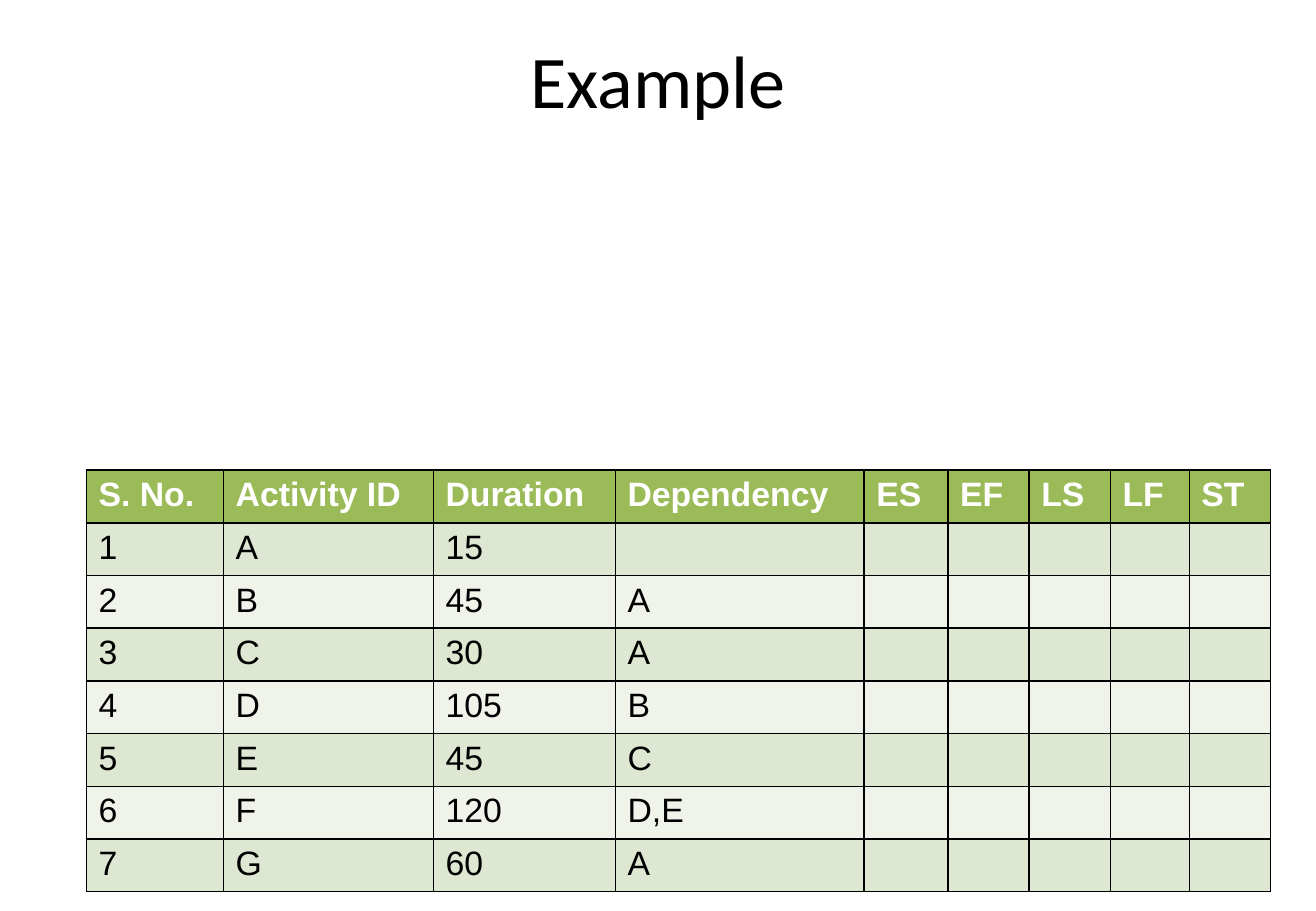
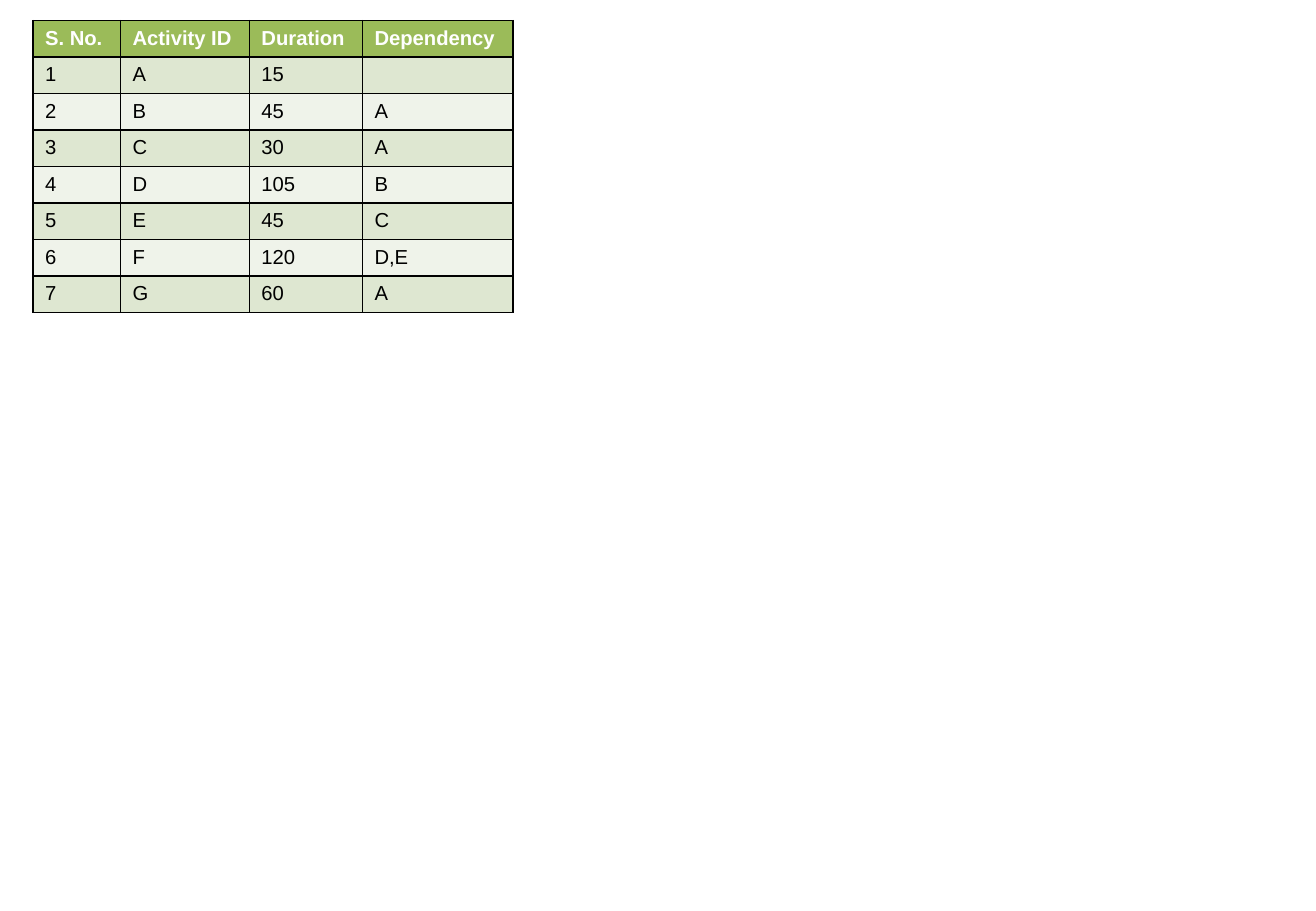
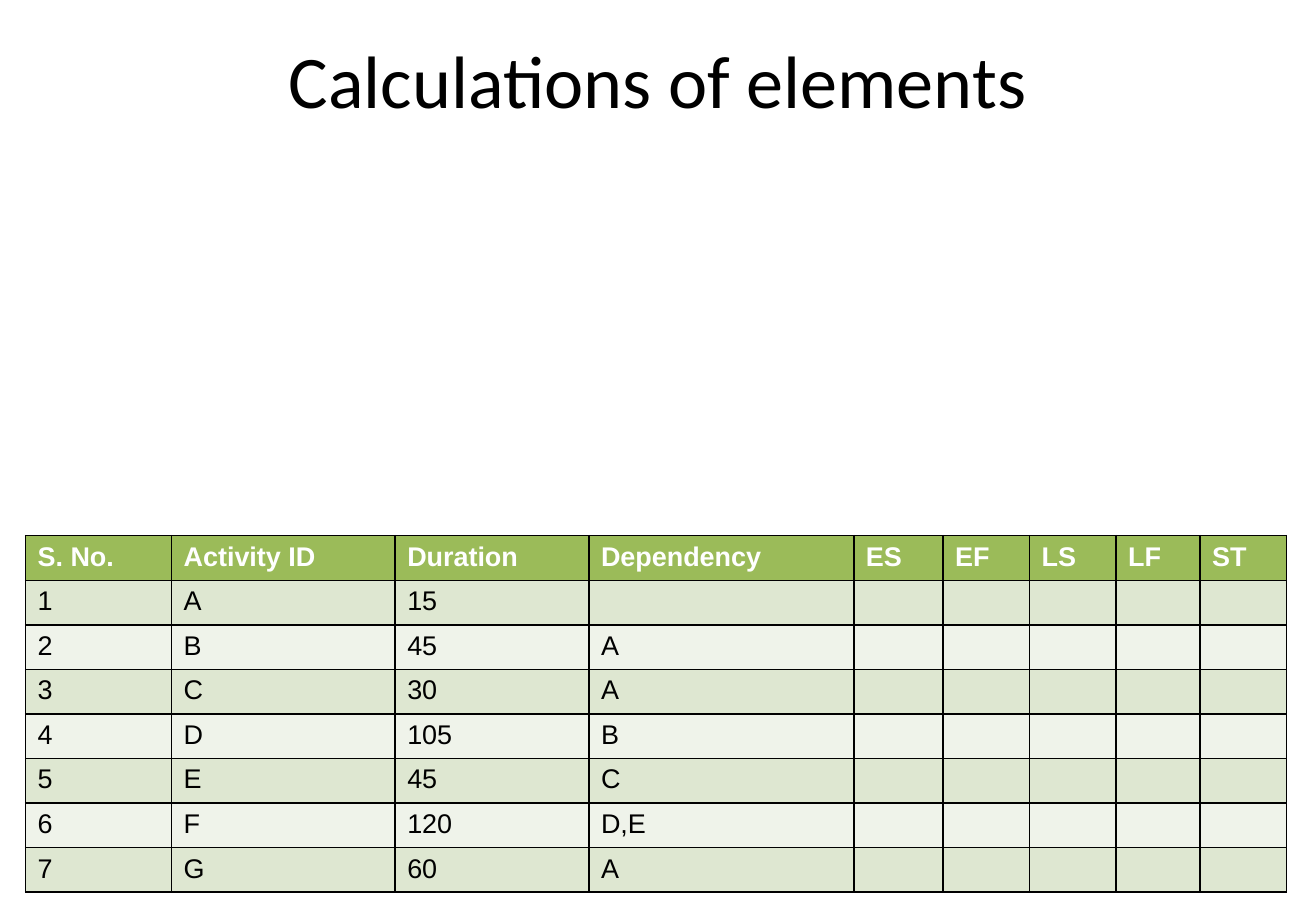
"""Build three slides that work through an activity schedule with tables."""
from lxml.etree import SubElement
from pptx import Presentation
from pptx.dml.color import RGBColor
from pptx.enum.text import MSO_ANCHOR, PP_ALIGN
from pptx.oxml import parse_xml
from pptx.oxml.ns import nsdecls, qn
from pptx.util import Inches, Pt

COLOURS = {
    "text": "000000",
    "border": "000000",
    "header_text": "FFFFFF",
    "header": "9BBB59",
    "odd_row": "DEE7D1",
    "even_row": "EFF3EA",
}
TITLE_FONT, TABLE_FONT = "Calibri", "Arial"

HEADINGS = ["S. No.", "Activity ID", "Duration", "Dependency", "ES", "EF", "LS", "LF", "ST"]
ACTIVITIES = [
    ("A", 15, ""),
    ("B", 45, "A"),
    ("C", 30, "A"),
    ("D", 105, "B"),
    ("E", 45, "C"),
    ("F", 120, "D,E"),
    ("G", 60, "A"),
]
FULL_COLUMNS = [113, 173, 150, 205, 69, 67, 67, 65, 67]
SHORT_COLUMNS = [72, 106, 93, 124]

SLIDES = [
    {"title": "Example", "columns": FULL_COLUMNS, "size": 20,
     "left": 6.56, "top": 51.6, "width": 90, "row": 5.47},
    {"title": "", "columns": SHORT_COLUMNS, "size": 12,
     "left": 2.5, "top": 2.27, "width": 36.5, "row": 3.83},
    {"title": "Calculations of elements", "columns": FULL_COLUMNS, "size": 16,
     "left": 1.94, "top": 58.8, "width": 95.84, "row": 4.63},
]

deck = Presentation()
deck.slide_width, deck.slide_height = Inches(10.83), Inches(7.5)
blank = deck.slide_layouts[6]


def across(percent):
    return round(deck.slide_width * percent / 100)


def down(percent):
    return round(deck.slide_height * percent / 100)


for content in SLIDES:
    slide = deck.slides.add_slide(blank)

    if content["title"]:
        title = slide.shapes.add_textbox(across(5), down(4), across(90), down(9.2)).text_frame
        title.word_wrap = True
        title.vertical_anchor = MSO_ANCHOR.MIDDLE
        title.text = content["title"]
        heading = title.paragraphs[0]
        heading.alignment = PP_ALIGN.CENTER
        font = heading.runs[0].font
        font.name, font.size = TITLE_FONT, Pt(44)
        font.color.rgb = RGBColor.from_string(COLOURS["text"])

    columns = content["columns"]
    rows = [HEADINGS]
    for number, activity in enumerate(ACTIVITIES, 1):
        rows.append([number, *activity] + [""] * 5)

    schedule = slide.shapes.add_table(
        len(rows), len(columns), across(content["left"]), down(content["top"]),
        across(content["width"]), down(content["row"] * len(rows))).table
    for column, share in zip(schedule.columns, columns):
        column.width = across(content["width"] * share / sum(columns))

    for r, values in enumerate(rows):
        schedule.rows[r].height = down(content["row"])
        band = "header" if r == 0 else "odd_row" if r % 2 else "even_row"
        for c, value in enumerate(values[:len(columns)]):
            cell = schedule.cell(r, c)
            properties = cell._tc.get_or_add_tcPr()
            for side in "LRTB":
                properties.append(parse_xml(
                    f'<a:ln{side} {nsdecls("a")} w="{Pt(1)}"><a:solidFill>'
                    f'<a:srgbClr val="{COLOURS["border"]}"/></a:solidFill></a:ln{side}>'))
            cell.fill.solid()
            cell.fill.fore_color.rgb = RGBColor.from_string(COLOURS[band])
            paragraph = cell.text_frame.paragraphs[0]
            if value == "":
                SubElement(paragraph._p, qn("a:endParaRPr"), sz=str(content["size"] * 100))
                continue
            paragraph.text = str(value)
            font = paragraph.runs[0].font
            font.name, font.size, font.bold = TABLE_FONT, Pt(content["size"]), r == 0
            font.color.rgb = RGBColor.from_string(COLOURS["text" if r else "header_text"])

deck.save("out.pptx")
